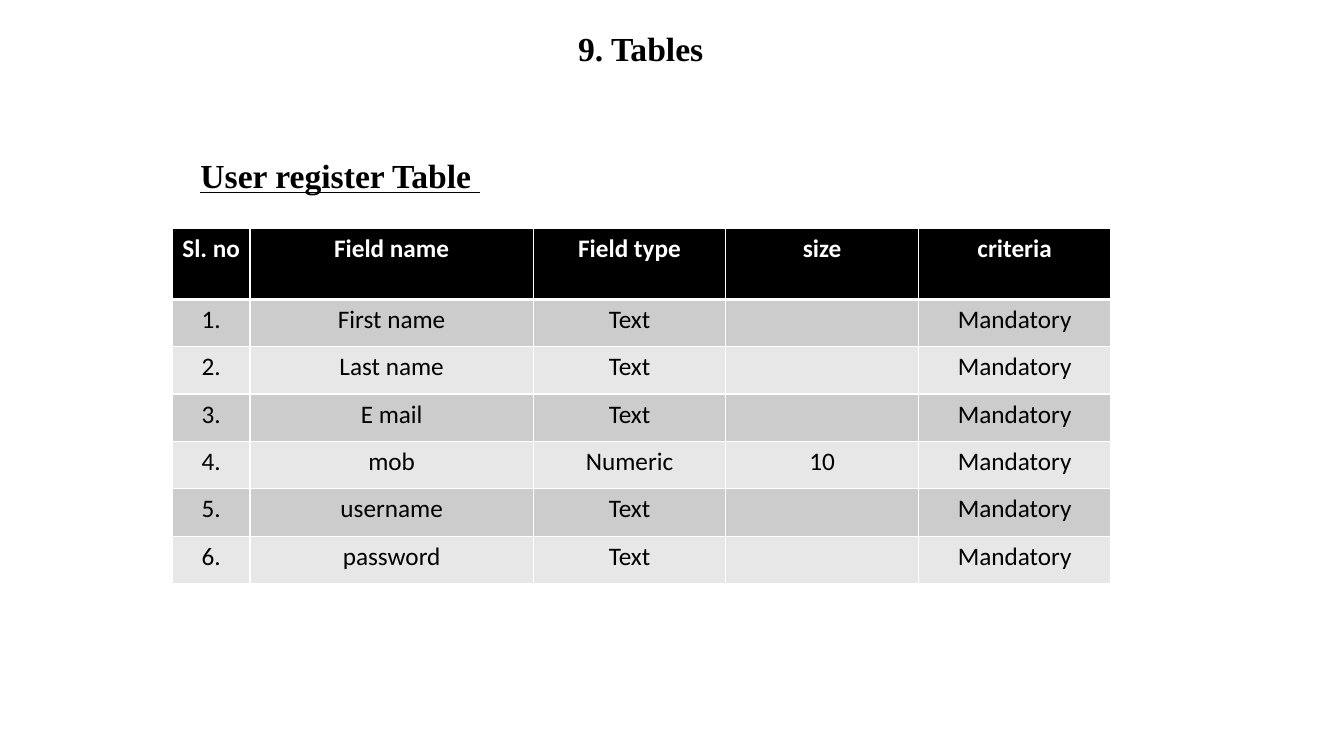
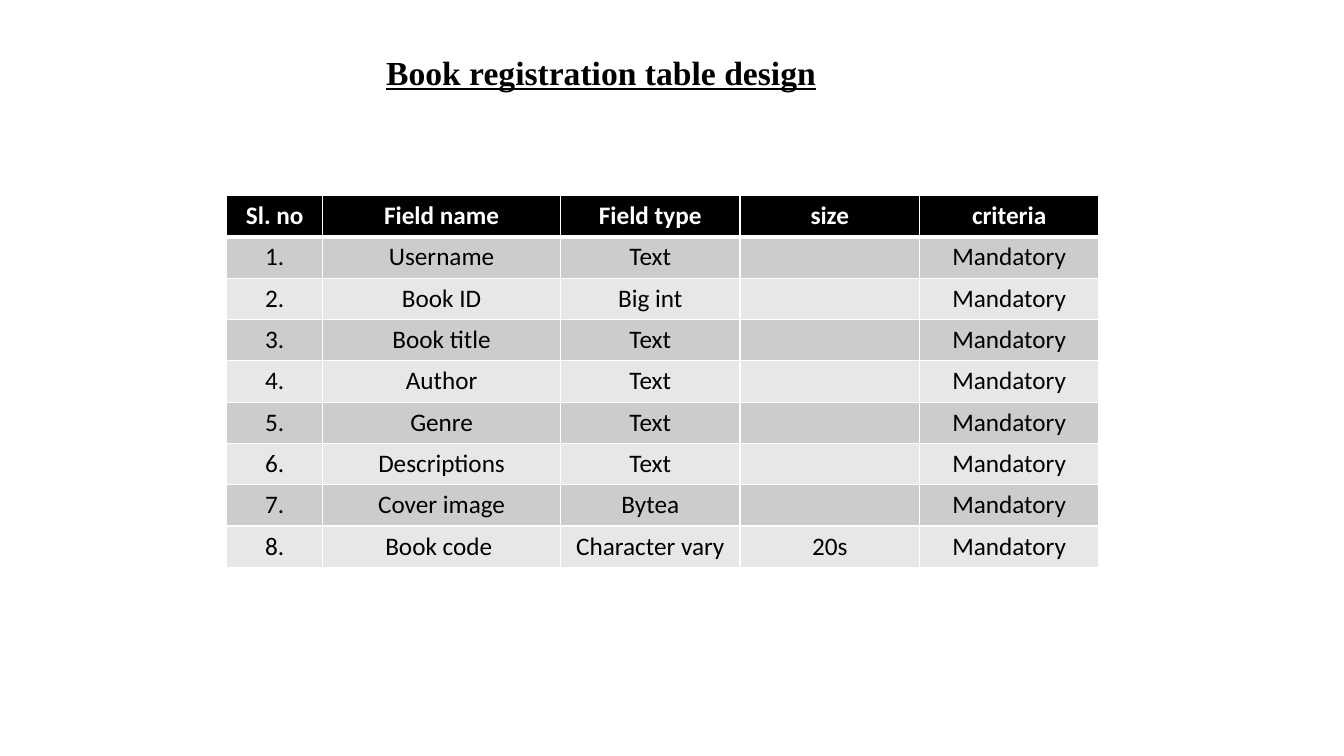
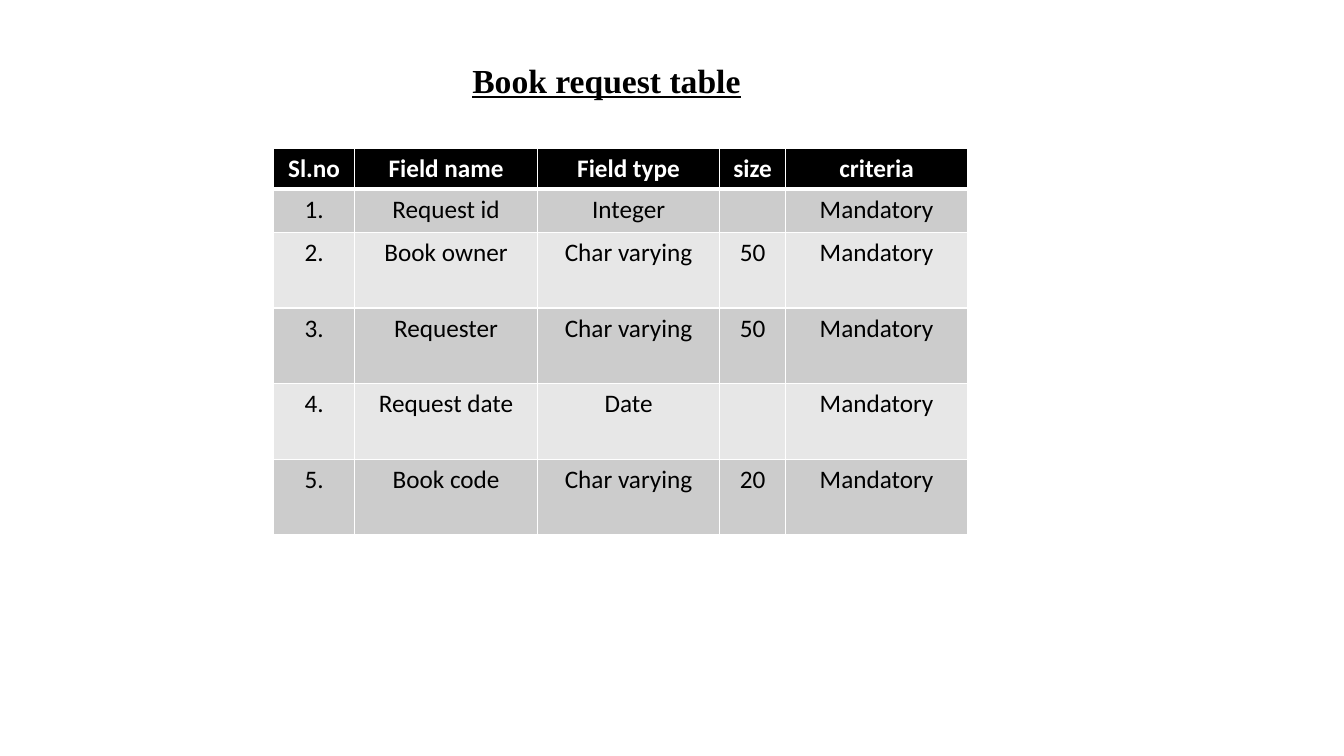
"""Build three slides that describe database tables field by field."""
from dataclasses import dataclass

import pptx
import pptx.dml.color
import pptx.enum.text
import pptx.oxml
import pptx.oxml.ns
import pptx.shapes.base
import pptx.slide
import pptx.table
import pptx.text.text
import pptx.util

Inches = pptx.util.Inches
RGBColor = pptx.dml.color.RGBColor
Align = pptx.enum.text.PP_ALIGN

BLACK = RGBColor(0x00, 0x00, 0x00)
WHITE = RGBColor(0xFF, 0xFF, 0xFF)
DARK_BAND = RGBColor(0xCC, 0xCC, 0xCC)
LIGHT_BAND = RGBColor(0xE7, 0xE7, 0xE7)

HEADING_FONT = "Times New Roman"
TABLE_FONT = "Calibri"
HEADING_SIZE = 24
TABLE_SIZE = 18
HEADING_HEIGHT = 0.5
THIN_BORDER = 1
THICK_BORDER = 3
CRITERIA = "Mandatory"
TITLE_ONLY_LAYOUT = 5


@dataclass(frozen=True)
class Heading:
    text: str
    left: float
    top: float
    width: float
    align: Align = Align.LEFT
    underline: bool = True


@dataclass(frozen=True)
class Field:
    name: str
    kind: str
    size: str = ""


@dataclass(frozen=True)
class FieldTable:
    left: float
    top: float
    column_widths: list[float]
    row_heights: list[float]
    fields: list[Field]
    number_label: str = "Sl. no"


@dataclass(frozen=True)
class TableSlide:
    title: Heading
    table: FieldTable
    subtitle: Heading | None = None


SLIDES = [
    TableSlide(
        title=Heading("9. Tables", 5.24, 0.23, 2.23, Align.CENTER, False),
        subtitle=Heading("User register Table ", 1.89, 1.49, 4.37),
        table=FieldTable(
            1.71, 2.27, [0.77, 2.81] + [1.91] * 3, [0.7] + [0.47] * 6,
            [
                Field("First name", "Text"),
                Field("Last name", "Text"),
                Field("E mail", "Text"),
                Field("mob", "Numeric", "10"),
                Field("username", "Text"),
                Field("password", "Text"),
            ],
        ),
    ),
    TableSlide(
        title=Heading("Book registration table design", 3.73, 0.46, 5.43),
        table=FieldTable(
            2.25, 1.94, [0.95, 2.36] + [1.78] * 3, [0.41] * 9,
            [
                Field("Username", "Text"),
                Field("Book ID", "Big int"),
                Field("Book title", "Text"),
                Field("Author", "Text"),
                Field("Genre", "Text"),
                Field("Descriptions", "Text"),
                Field("Cover image", "Bytea"),
                Field("Book code ", "Character vary", "20s"),
            ],
        ),
    ),
    TableSlide(
        title=Heading("Book request table", 3.09, 0.54, 5.85, Align.CENTER),
        table=FieldTable(
            2.71, 1.47, [0.81, 1.81, 1.81, 0.65, 1.81], [0.4, 0.43] + [0.75] * 4,
            [
                Field("Request id", "Integer"),
                Field("Book owner", "Char varying", "50"),
                Field("Requester", "Char varying", "50"),
                Field("Request date", "Date"),
                Field("Book code", "Char varying", "20"),
            ],
            number_label="Sl.no",
        ),
    ),
]


def add_run(paragraph: pptx.text.text._Paragraph, text: str, font_name: str,
            size: float, color: RGBColor, bold: bool) -> pptx.text.text._Run:
    run = paragraph.add_run()
    run.text = text
    run.font.name = font_name
    run.font.size = pptx.util.Pt(size)
    run.font.bold = bold
    run.font.color.rgb = color
    return run


def fill_heading(shape: pptx.shapes.base.BaseShape, heading: Heading) -> None:
    shape.left, shape.top = Inches(heading.left), Inches(heading.top)
    shape.width, shape.height = Inches(heading.width), Inches(HEADING_HEIGHT)
    frame = shape.text_frame
    frame.word_wrap = True
    frame.auto_size = pptx.enum.text.MSO_AUTO_SIZE.NONE
    frame.vertical_anchor = pptx.enum.text.MSO_ANCHOR.TOP
    paragraph = frame.paragraphs[0]
    paragraph.alignment = heading.align
    run = add_run(paragraph, heading.text, HEADING_FONT, HEADING_SIZE, BLACK, True)
    run.font.underline = heading.underline


def set_border(cell: pptx.table._Cell, side: str, points: float) -> None:
    namespace = pptx.oxml.ns.nsdecls("a")
    line = pptx.oxml.parse_xml(
        f'<a:ln{side} {namespace} w="{pptx.util.Pt(points)}"><a:solidFill>'
        f'<a:srgbClr val="{WHITE}"/></a:solidFill></a:ln{side}>'
    )
    cell._tc.get_or_add_tcPr().append(line)


def fill_cell(cell: pptx.table._Cell, text: str, row_index: int) -> None:
    is_header = row_index == 0
    cell.margin_left = cell.margin_right = Inches(0.08)
    thick_side = {0: "B", 1: "T"}.get(row_index)
    for side in "LRTB":
        set_border(cell, side, THICK_BORDER if side == thick_side else THIN_BORDER)
    band = DARK_BAND if row_index % 2 else LIGHT_BAND
    cell.fill.solid()
    cell.fill.fore_color.rgb = BLACK if is_header else band
    paragraph = cell.text_frame.paragraphs[0]
    paragraph.alignment = Align.CENTER
    if text:
        color = WHITE if is_header else BLACK
        add_run(paragraph, text, TABLE_FONT, TABLE_SIZE, color, is_header)


def add_field_table(slide: pptx.slide.Slide, design: FieldTable) -> None:
    rows = [[design.number_label, "Field name", "Field type", "size", "criteria"]]
    rows += [
        [f"{number}.", field.name, field.kind, field.size, CRITERIA]
        for number, field in enumerate(design.fields, start=1)
    ]
    table = slide.shapes.add_table(
        len(rows), len(design.column_widths), Inches(design.left), Inches(design.top),
        Inches(sum(design.column_widths)), Inches(sum(design.row_heights)),
    ).table
    for column, width in zip(table.columns, design.column_widths):
        column.width = Inches(width)
    for row_index, (texts, height) in enumerate(zip(rows, design.row_heights)):
        table.rows[row_index].height = Inches(height)
        for column_index, text in enumerate(texts):
            fill_cell(table.cell(row_index, column_index), text, row_index)


def add_table_slide(presentation: pptx.presentation.Presentation,
                    design: TableSlide) -> None:
    slide = presentation.slides.add_slide(
        presentation.slide_layouts[TITLE_ONLY_LAYOUT])
    fill_heading(slide.shapes.title, design.title)
    if design.subtitle:
        fill_heading(slide.shapes.add_textbox(0, 0, 0, 0), design.subtitle)
    add_field_table(slide, design.table)


def main() -> None:
    presentation = pptx.Presentation()
    presentation.slide_width = Inches(13.33)
    presentation.slide_height = Inches(7.5)
    for design in SLIDES:
        add_table_slide(presentation, design)
    presentation.save("out.pptx")


if __name__ == "__main__":
    main()
